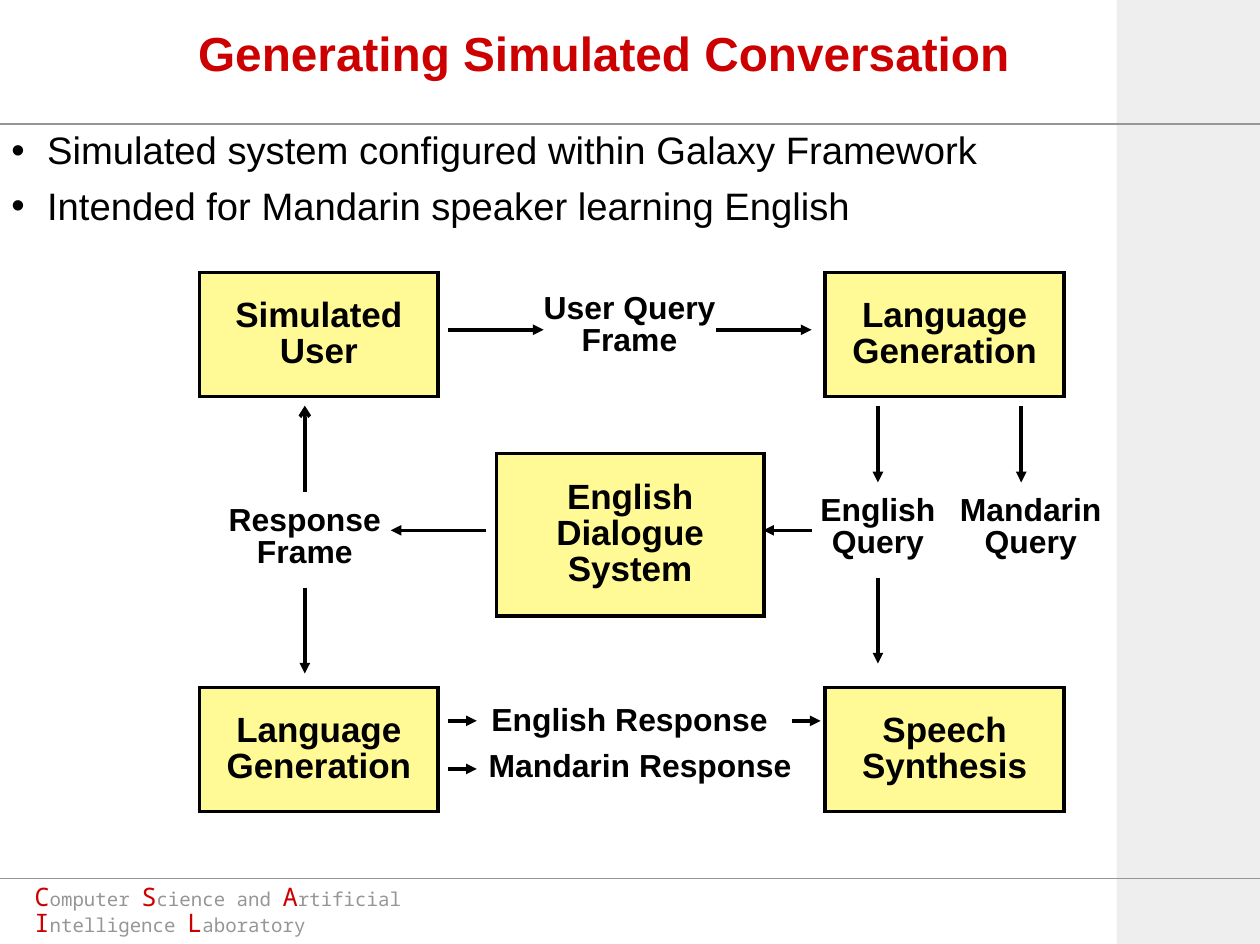
from pptx import Presentation
from pptx.dml.color import RGBColor as RGB
from pptx.enum.shapes import MSO_CONNECTOR as Line, MSO_SHAPE as Shape
from pptx.enum.text import MSO_ANCHOR as Anchor, PP_ALIGN as Align
from pptx.oxml.ns import qn
from pptx.util import Pt
from lxml.etree import SubElement as Sub

WIDTH, HEIGHT = 791.5, 593.1
BLACK = RGB(0, 0, 0)
RED = RGB(0xCC, 0, 0)
GRAY = RGB(0x96, 0x96, 0x96)
PALE = RGB(0xEE, 0xEE, 0xEE)
YELLOW = RGB(0xFF, 0xFA, 0x95)

SIDE_W, BOX_W, BOX_H = 90, 150, 78
LEFT, RIGHT = 125.3, 518.4       # box columns
TOP, LOW = 171.2, 432            # box rows
MID = 395.5                      # centre of the middle column
REPLY, QUERY, MANDARIN = 191.5, 551.5, 641.5    # vertical arrows
ROW1, ROW2, ENGLISH, CHINESE = 207.2, 333.2, 452.9, 483.1  # level arrows


class Deck:
    def __init__(self, face):
        self.face = face
        self.prs = Presentation()
        self.prs.slide_width, self.prs.slide_height = Pt(WIDTH), Pt(HEIGHT)
        self.slide = self.prs.slides.add_slide(self.prs.slide_layouts[6])
        self.shapes = self.slide.shapes

    def rect(self, x, y, w, h, fill, edge=None):
        rect = self.shapes.add_shape(Shape.RECTANGLE, Pt(x), Pt(y), Pt(w), Pt(h))
        rect.shadow.inherit = False
        rect.fill.solid()
        rect.fill.fore_color.rgb = fill
        if edge is None:
            rect.line.fill.background()
        else:
            rect.line.color.rgb = edge
            rect.line.width = Pt(2.25)
            Sub(rect.line._get_or_add_ln(), qn("a:miter")).set("lim", "800000")
        return rect

    def frame(self, shape, side=5, top=2.2, wrap=True):
        """Set margins and wrapping, and return the text frame."""
        tf = shape.text_frame
        tf.word_wrap = wrap
        tf.margin_left = tf.margin_right = Pt(side)
        tf.margin_top = tf.margin_bottom = Pt(top)
        return tf

    def text(self, x, y, w, h, **inset):
        return self.frame(self.shapes.add_textbox(Pt(x), Pt(y), Pt(w), Pt(h)), **inset)

    def style(self, para, size, color=BLACK, bold=True, align=Align.CENTER, gap=0.85):
        para.alignment = align
        para.line_spacing = gap
        font = para.font
        font.name, font.size, font.bold = self.face, Pt(size), bold
        font.color.rgb = color

    def box(self, x, y, words, w=BOX_W, h=BOX_H):
        tf = self.frame(self.rect(x, y, w, h, YELLOW, BLACK))
        tf.vertical_anchor = Anchor.MIDDLE
        tf.text = words
        self.style(tf.paragraphs[0], 22)

    def label(self, mid, y, words, w=130, h=45):
        tf = self.text(mid - w / 2, y, w, h)
        tf.text = words
        self.style(tf.paragraphs[0], 20)

    def title(self, words):
        tf = self.text(119.5, 18.5, 540, 34.6)
        tf.text = words
        self.style(tf.paragraphs[0], 30, RED, align=Align.LEFT)

    def bullets(self, items):
        tf = self.text(0, 79.2, 755.3, 68.4, side=7.2, top=3.6)
        tf.text = "\n".join(items)
        for i, para in enumerate(tf.paragraphs):
            props = para._p.get_or_add_pPr()
            props.set("marL", str(Pt(22.5)))
            props.set("indent", str(-Pt(22.5)))
            Sub(props, qn("a:buFont")).set("typeface", self.face)
            Sub(props, qn("a:buChar")).set("char", "•")
            para.space_before = Pt(9 if i else 0)
            self.style(para, 24, bold=False, align=Align.LEFT, gap=0.9)

    def footer(self, lines):
        """Write each word as a large red initial and a small grey rest."""
        para = self.text(16.6, 554.4, 331.2, 38, wrap=False).paragraphs[0]
        para.line_spacing = 0.85
        para.font.name = "Noto Sans Mono"
        for i, line in enumerate(lines):
            if i:
                para.add_line_break()
            for word in line:
                for part, size, color in ((word[0], 16, RED), (word[1:], 12, GRAY)):
                    run = para.add_run()
                    run.text = part
                    run.font.size = Pt(size)
                    run.font.color.rgb = color

    def line(self, x1, y1, x2, y2, color=BLACK, width=2.25, head="triangle"):
        line = self.shapes.add_connector(Line.STRAIGHT, Pt(x1), Pt(y1), Pt(x2), Pt(y2))
        line.line.color.rgb = color
        line.line.width = Pt(width)
        if head:
            Sub(line.line._get_or_add_ln(), qn("a:tailEnd")).set("type", head)
        Sub(line._element.spPr, qn("a:effectLst"))


def main():
    deck = Deck("Arial")
    deck.rect(WIDTH - SIDE_W, 0, SIDE_W, HEIGHT, PALE)
    for y in (77.9, 552.1):
        deck.line(0, y, WIDTH, y, GRAY, 0.75, None)
    deck.footer([("Computer ", "Science and ", "Artificial"),
                 ("Intelligence ", "Laboratory")])
    deck.title("Generating Simulated Conversation")
    deck.bullets(["Simulated system configured within Galaxy Framework",
                  "Intended for Mandarin speaker learning English"])

    deck.box(LEFT, TOP, "Simulated User")
    deck.box(RIGHT, TOP, "Language Generation")
    deck.box(311.8, 285, "English Dialogue System", 168, 102)
    deck.box(LEFT, LOW, "Language Generation")
    deck.box(RIGHT, LOW, "Speech Synthesis")

    deck.label(MID, 182.2, "User Query Frame")
    deck.label(REPLY, 315.2, "Response Frame")
    deck.label(QUERY, 308.9, "English Query")
    deck.label(647.5, 308.9, "Mandarin Query")
    deck.label(MID, 441.2, "English Response", 204, 24.5)
    deck.label(402.1, 470.2, "Mandarin Response", 204, 24.5)

    for y, x1, x2 in ((ROW1, 281.5, 341.5), (ROW1, 449.5, 509.8),
                      (ROW2, 509.8, 479.5), (ROW2, 305.5, 245.5),
                      (ENGLISH, 281.5, 299.5), (ENGLISH, 497.5, 515.5),
                      (CHINESE, 281.5, 299.5)):
        deck.line(x1, y, x2, y)
    for x, y1, y2 in ((REPLY, 369.2, 423.2), (QUERY, 254.9, 303.1),
                      (MANDARIN, 254.9, 303.1), (QUERY, 362.9, 416.9)):
        deck.line(x, y1, x, y2)
    deck.line(REPLY, 308.9, REPLY, 254.9, head="arrow")
    deck.prs.save("out.pptx")


if __name__ == "__main__":
    main()
